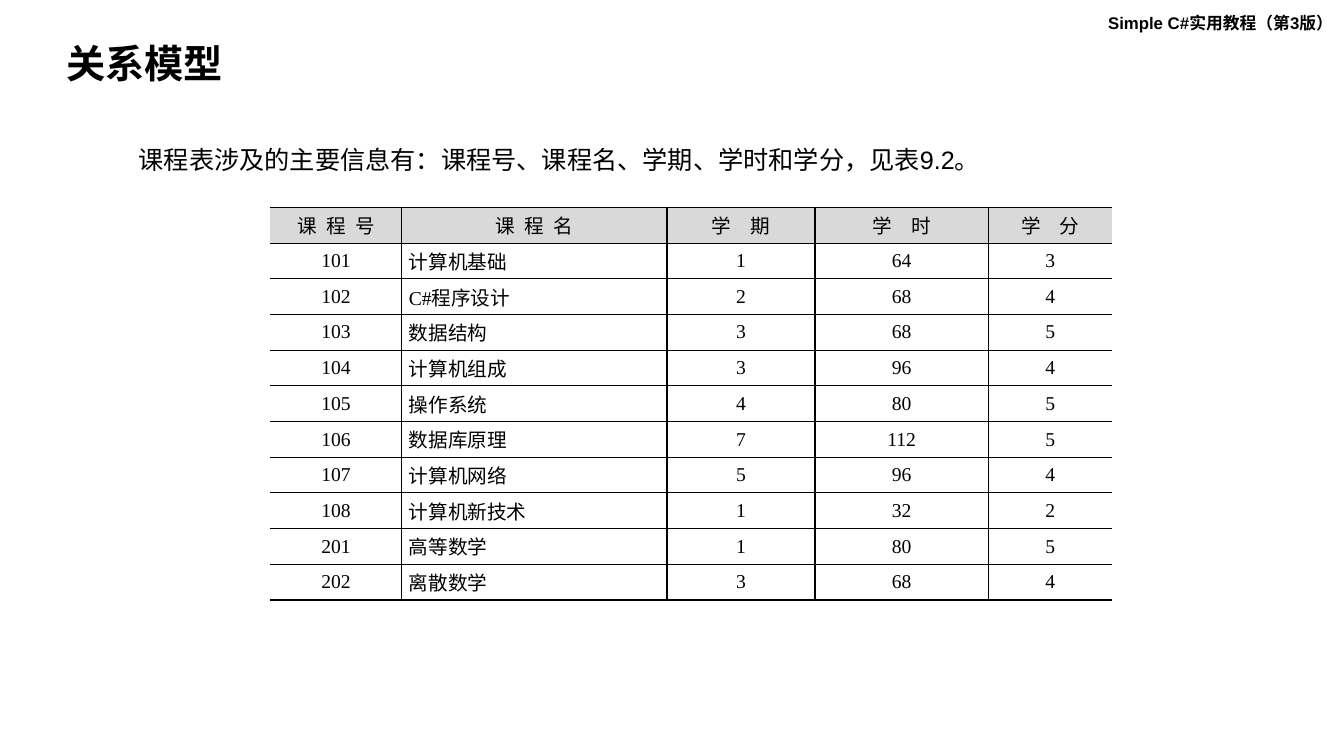
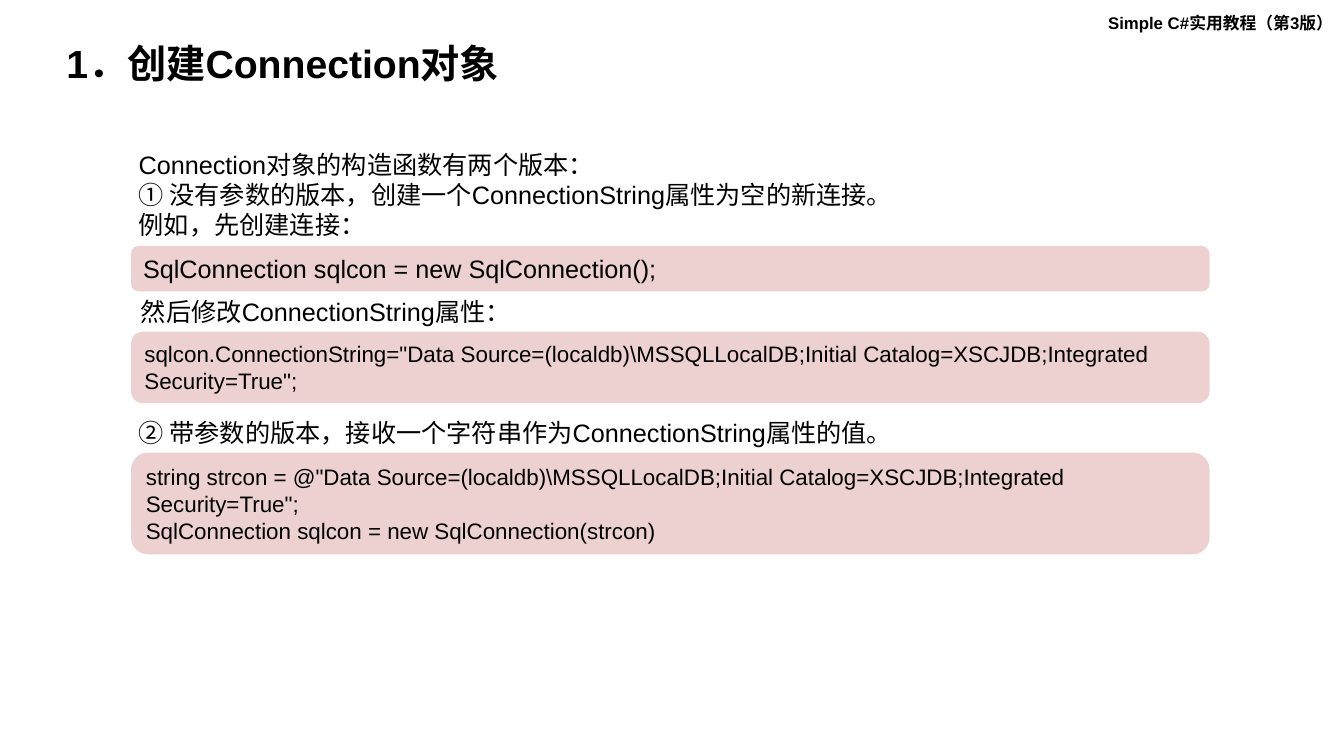
"""Build two course slides: a table of the relational model and code for a connection."""
from lxml import etree
from pptx import Presentation
from pptx.dml.color import RGBColor
from pptx.enum import shapes, text
from pptx.oxml import ns
from pptx.util import Pt

BLACK = RGBColor(0x00, 0x00, 0x00)
HEADER_GREY = RGBColor(0xD9, 0xD9, 0xD9)
CODE_PINK = RGBColor(0xED, 0xD0, 0xD0)
BODY_FONT = "Arial"
TABLE_FONT = "Times New Roman"
PLAIN_TABLE_STYLE = "{2D5ABB26-0587-4C30-8999-92F81FD0307C}"
BODY_LEFT = 92
CODE_LEFT, CODE_WIDTH = 93.6, 770.4
ROW_HEIGHT = 25.5
COLUMN_WIDTHS = (94, 189.4, 105.8, 123.8, 88.6)

COURSE_HEADERS = (("课 程 号", 1.75), ("课 程 名", 1.75),
                  ("学 期", 5.25), ("学 时", 5.25), ("学 分", 5.25))
COURSES = (
    ("101", "计算机基础", "1", "64", "3"),
    ("102", "C#程序设计", "2", "68", "4"),
    ("103", "数据结构", "3", "68", "5"),
    ("104", "计算机组成", "3", "96", "4"),
    ("105", "操作系统", "4", "80", "5"),
    ("106", "数据库原理", "7", "112", "5"),
    ("107", "计算机网络", "5", "96", "4"),
    ("108", "计算机新技术", "1", "32", "2"),
    ("201", "高等数学", "1", "80", "5"),
    ("202", "离散数学", "3", "68", "4"),
)


def write(frame, content, size=18, font=BODY_FONT, bold=False, align=text.PP_ALIGN.LEFT,
          anchor=text.MSO_ANCHOR.TOP, line_spacing=None, tracking=0):
    frame.word_wrap = True
    frame.vertical_anchor = anchor
    for index, line in enumerate(content.split("\n")):
        para = frame.add_paragraph() if index else frame.paragraphs[0]
        para.alignment = align
        para.line_spacing = line_spacing
        span = para.add_run()
        span.text = line
        span.font.name = font
        span.font.size = Pt(size)
        span.font.bold = bold
        span.font.color.rgb = BLACK
        if tracking:
            span.font._element.set("spc", str(round(tracking * 100)))


def add_text(page, left, top, width, height, content, **style):
    box = page.shapes.add_textbox(Pt(left), Pt(top), Pt(width), Pt(height))
    write(box.text_frame, content, **style)


def add_code(page, top, height, content, size=16):
    box = page.shapes.add_shape(shapes.MSO_SHAPE.ROUNDED_RECTANGLE,
                                Pt(CODE_LEFT), Pt(top), Pt(CODE_WIDTH), Pt(height))
    box.shadow.inherit = False
    box.fill.solid()
    box.fill.fore_color.rgb = CODE_PINK
    box.line.fill.background()
    write(box.text_frame, content, size=size, anchor=text.MSO_ANCHOR.MIDDLE)


def add_page(deck, title):
    page = deck.slides.add_slide(deck.slide_layouts[6])
    add_text(page, 784.4, 5.6, 175.6, 21.6, "Simple C#实用教程（第3版）", size=12, bold=True)
    add_text(page, 40.3, 28.1, 503.3, 37.4, title, size=28, bold=True,
             anchor=text.MSO_ANCHOR.MIDDLE, line_spacing=0.9)
    return page


def set_borders(cell, visible_sides):
    properties = cell._tc.get_or_add_tcPr()
    for side in "LRTB":
        line = etree.SubElement(properties, ns.qn(f"a:ln{side}"), w=str(Pt(1)))
        if side in visible_sides:
            fill = etree.SubElement(line, ns.qn("a:solidFill"))
            etree.SubElement(fill, ns.qn("a:srgbClr"), val=str(BLACK))
        else:
            etree.SubElement(line, ns.qn("a:noFill"))


def fill_cell(cell, content, sides, shade=None, **style):
    set_borders(cell, sides)
    if shade is None:
        cell.fill.background()
    else:
        cell.fill.solid()
        cell.fill.fore_color.rgb = shade
    cell.margin_left = cell.margin_right = Pt(5)
    cell.margin_top = cell.margin_bottom = Pt(0)
    write(cell.text_frame, content, size=14, font=TABLE_FONT, **style)
    cell.vertical_anchor = text.MSO_ANCHOR.MIDDLE


def add_course_table(page, left, top):
    row_count, last = len(COURSES) + 1, len(COLUMN_WIDTHS) - 1
    frame = page.shapes.add_table(row_count, last + 1, Pt(left), Pt(top),
                                  Pt(sum(COLUMN_WIDTHS)), Pt(row_count * ROW_HEIGHT))
    table = frame.table
    table.horz_banding = False
    table._tbl.tblPr.find(ns.qn("a:tableStyleId")).text = PLAIN_TABLE_STYLE
    for row in table.rows:
        row.height = Pt(ROW_HEIGHT)
    for column, width in enumerate(COLUMN_WIDTHS):
        table.columns[column].width = Pt(width)
        sides = "TB" + ("L" if column > 0 else "") + ("R" if column < last else "")
        header, tracking = COURSE_HEADERS[column]
        fill_cell(table.cell(0, column), header, sides, shade=HEADER_GREY,
                  align=text.PP_ALIGN.CENTER, tracking=tracking)
        align = text.PP_ALIGN.JUSTIFY if column == 1 else text.PP_ALIGN.CENTER
        for row, course in enumerate(COURSES, start=1):
            fill_cell(table.cell(row, column), course[column], sides, align=align)


def build_model_page(deck):
    page = add_page(deck, "关系模型")
    add_text(page, BODY_LEFT, 99.4, 669, 29,
             "课程表涉及的主要信息有：课程号、课程名、学期、学时和学分，见表9.2。")
    add_course_table(page, 193, 148.2)


def build_connection_page(deck):
    page = add_page(deck, "1．创建Connection对象")
    add_text(page, BODY_LEFT, 103, 772, 72.7,
             "Connection对象的构造函数有两个版本：\n"
             "① 没有参数的版本，创建一个ConnectionString属性为空的新连接。\n"
             "例如，先创建连接：")
    add_code(page, 175.7, 32.4, "SqlConnection sqlcon = new SqlConnection();", size=18)
    add_text(page, CODE_LEFT, 208.1, 290, 29, "然后修改ConnectionString属性：")
    add_code(page, 236.9, 51.1,
             'sqlcon.ConnectionString="Data Source=(localdb)\\MSSQLLocalDB;'
             'Initial Catalog=XSCJDB;Integrated Security=True";')
    add_text(page, BODY_LEFT, 294.5, 664.6, 29,
             "② 带参数的版本，接收一个字符串作为ConnectionString属性的值。")
    add_code(page, 323.3, 72.7,
             'string strcon = @"Data Source=(localdb)\\MSSQLLocalDB;'
             'Initial Catalog=XSCJDB;Integrated Security=True";\n'
             "SqlConnection sqlcon = new SqlConnection(strcon)")


def main():
    deck = Presentation()
    deck.slide_width, deck.slide_height = Pt(960), Pt(540)
    build_model_page(deck)
    build_connection_page(deck)
    deck.save("out.pptx")


if __name__ == "__main__":
    main()
